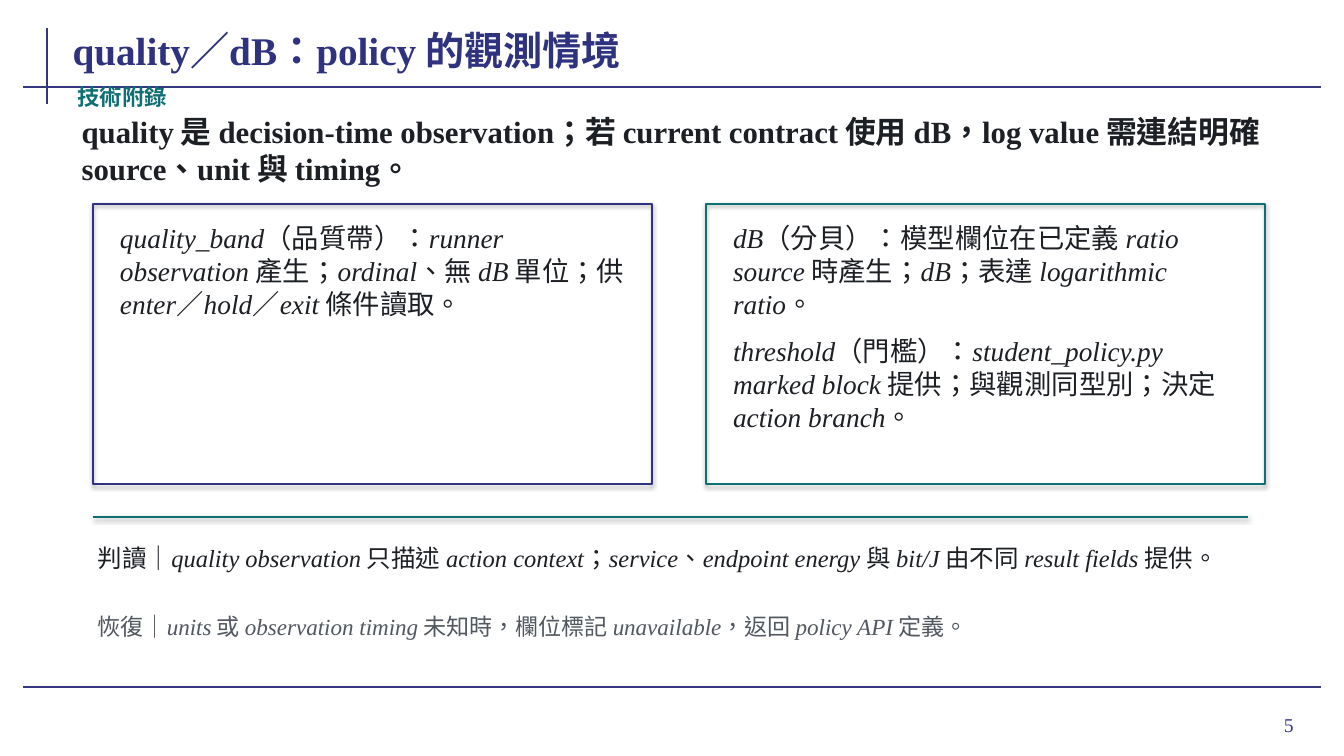
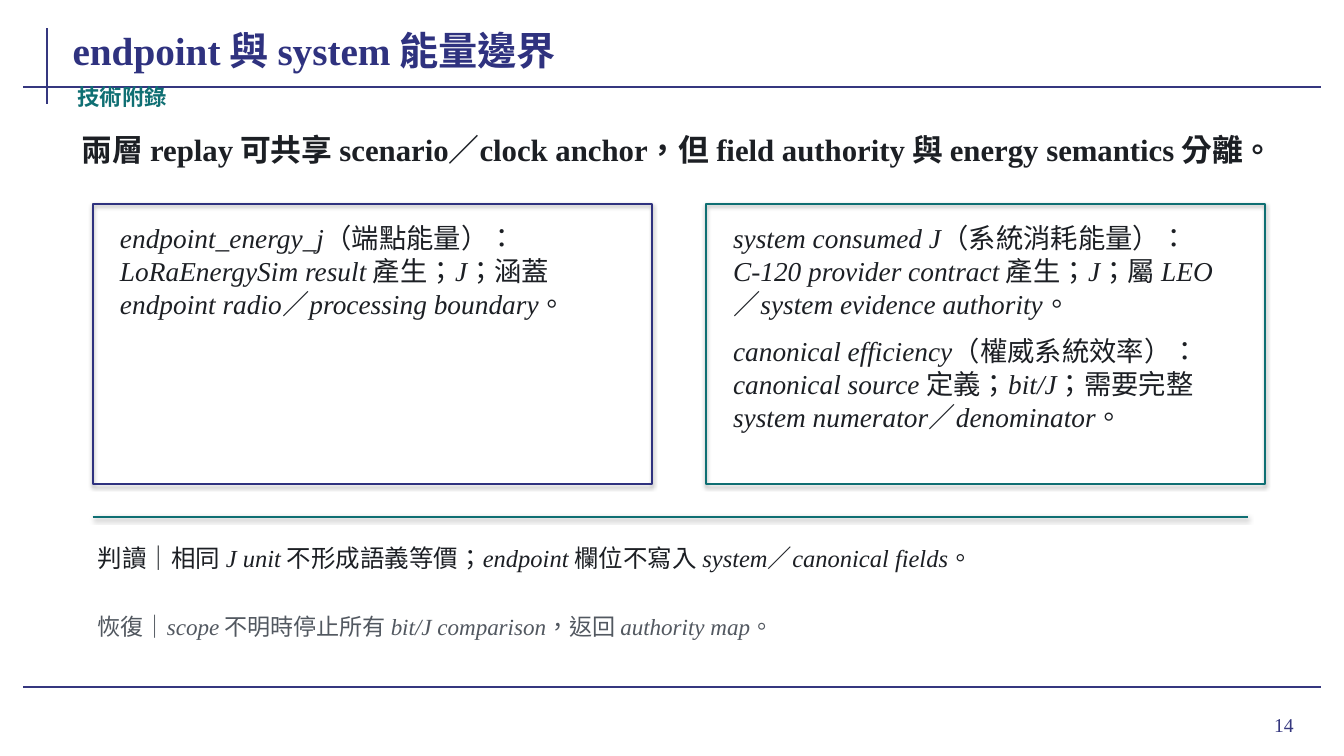
from dataclasses import dataclass
from itertools import groupby

from lxml import etree
from pptx import Presentation
from pptx import util as u
from pptx.dml.color import RGBColor
from pptx.enum import lang, shapes, text
from pptx.oxml import ns


@dataclass(frozen=True)
class Theme:
    frame: str = "35377F"
    navy: str = "2F327F"
    teal: str = "0F6F73"
    ink: str = "1C1F24"
    muted: str = "525860"
    shadow: str = "000000"
    latin_font: str = "Times New Roman"
    chinese_font: str = "Noto Sans CJK SC"
    title_size: float = 28
    lead_size: float = 22
    card_size: float = 19.5
    reading_size: float = 17.5
    recovery_size: float = 16.5
    label_size: float = 16
    page_size: float = 14
    rule_width: float = 1.5
    divider_width: float = 1.6


MARGIN = 0.92
CARD_TOP, CARD_WIDTH, CARD_HEIGHT = 2.02, 5.55, 2.78
CARD_PITCH = 6.08
CARD_PADDING = 0.22
ENTRY_TOP, ENTRY_HEIGHT, ENTRY_PITCH = 2.22, 0.93, 1.12
REMARK_WIDTH = 11.46

SLIDES = [
    {
        "page": "5",
        "title": "quality／dB：policy 的觀測情境",
        "lead": "quality 是 decision-time observation；若 current contract 使用 dB，"
                "log value 需連結明確 source、unit 與 timing。",
        "cards": [
            ["quality_band（品質帶）：runner observation 產生；ordinal、無 dB 單位；"
             "供 enter／hold／exit 條件讀取。"],
            ["dB（分貝）：模型欄位在已定義 ratio source 時產生；dB；表達 logarithmic ratio。",
             "threshold（門檻）：student_policy.py marked block 提供；與觀測同型別；"
             "決定 action branch。"],
        ],
        "reading": "判讀｜quality observation 只描述 action context；service、endpoint energy "
                   "與 bit/J 由不同 result fields 提供。",
        "recovery": "恢復｜units 或 observation timing 未知時，欄位標記 unavailable，"
                    "返回 policy API 定義。",
    },
    {
        "page": "14",
        "title": "endpoint 與 system 能量邊界",
        "lead": "兩層 replay 可共享 scenario／clock anchor，但 field authority 與 "
                "energy semantics 分離。",
        "cards": [
            ["endpoint_energy_j（端點能量）：LoRaEnergySim result 產生；J；"
             "涵蓋 endpoint radio／processing boundary。"],
            ["system consumed J（系統消耗能量）：C-120 provider contract 產生；J；"
             "屬 LEO／system evidence authority。",
             "canonical efficiency（權威系統效率）：canonical source 定義；bit/J；"
             "需要完整 system numerator／denominator。"],
        ],
        "reading": "判讀｜相同 J unit 不形成語義等價；endpoint 欄位不寫入 "
                   "system／canonical fields。",
        "recovery": "恢復｜scope 不明時停止所有 bit/J comparison，返回 authority map。",
    },
]


def split_scripts(content):
    """Return (is_latin, words) pairs; spaces between scripts go to the Chinese side."""
    pieces = []
    for ascii_only, group in groupby(content, key=str.isascii):
        words = "".join(group)
        core = words.strip() if ascii_only else words
        start = words.index(core)
        pieces += [(False, words[:start]), (ascii_only, core),
                   (False, words[start + len(core):])]
    filled = [piece for piece in pieces if piece[1]]
    return [(is_latin, "".join(words for _, words in group))
            for is_latin, group in groupby(filled, key=lambda piece: piece[0])]


class Deck:
    def __init__(self, theme):
        self.theme = theme
        self.presentation = Presentation()
        self.presentation.slide_width = u.Inches(13.33)
        self.presentation.slide_height = u.Inches(7.5)
        self.slide = None

    def new_slide(self, page):
        """Start a slide with the frame rules and its page number."""
        theme = self.theme
        self.slide = self.presentation.slides.add_slide(self.presentation.slide_layouts[6])
        for ends in ((0.47, 0.28, 0.47, 1.03), (0.23, 0.86, 13.1, 0.86),
                     (0.23, 6.82, 13.1, 6.82)):
            self.rule(ends, theme.frame, theme.rule_width)
        self.text(page, (11.96, 6.93, 0.97, 0.52), theme.page_size, theme.frame,
                  align=text.PP_ALIGN.RIGHT, inset=0.1, grow=False)

    def rule(self, ends, color, width, shadow=None):
        connector = self.slide.shapes.add_connector(
            shapes.MSO_CONNECTOR.STRAIGHT, *(u.Inches(value) for value in ends))
        self.outline(connector, color, width)
        effects = etree.SubElement(connector._element.spPr, ns.qn("a:effectLst"))
        if shadow:
            self.drop_shadow(effects, *shadow)

    def card(self, box, color):
        shape = self.slide.shapes.add_shape(
            shapes.MSO_SHAPE.RECTANGLE, *(u.Inches(value) for value in box))
        shape.fill.background()
        self.outline(shape, color, self.theme.rule_width)
        shape.shadow.inherit = False
        self.drop_shadow(shape._element.spPr.find(ns.qn("a:effectLst")), 35, 1.8)

    def outline(self, shape, color, width):
        shape.line.color.rgb = RGBColor.from_string(color)
        shape.line.width = u.Pt(width)

    def drop_shadow(self, effects, opacity, distance):
        shadow = etree.SubElement(
            effects, ns.qn("a:outerShdw"), blurRad=str(u.Pt(3.1)), dist=str(u.Pt(distance)),
            dir="5400000", rotWithShape="0")
        color = etree.SubElement(shadow, ns.qn("a:srgbClr"), val=self.theme.shadow)
        etree.SubElement(color, ns.qn("a:alpha"), val=str(opacity * 1000))

    def text(self, content, box, size, color, bold=False, italic_latin=False,
             anchor=text.MSO_ANCHOR.MIDDLE, align=text.PP_ALIGN.LEFT, inset=0.05, grow=True):
        shape = self.slide.shapes.add_textbox(*(u.Inches(value) for value in box))
        frame = shape.text_frame
        frame.word_wrap = True
        frame.auto_size = (text.MSO_AUTO_SIZE.SHAPE_TO_FIT_TEXT if grow
                           else text.MSO_AUTO_SIZE.NONE)
        frame.vertical_anchor = anchor
        frame.margin_left = frame.margin_right = u.Inches(inset)
        frame.margin_top = frame.margin_bottom = u.Inches(min(inset, 0.05))
        paragraph = frame.paragraphs[0]
        paragraph.alignment = align
        for is_latin, words in split_scripts(content):
            run = paragraph.add_run()
            run.text = words
            font = run.font
            font.size = u.Pt(size)
            font.bold = bold
            font.italic = italic_latin and is_latin
            font.color.rgb = RGBColor.from_string(color)
            font.language_id = lang.MSO_LANGUAGE_ID.TRADITIONAL_CHINESE
            font.name = self.theme.latin_font if is_latin else self.theme.chinese_font
            etree.SubElement(run._r.get_or_add_rPr(), ns.qn("a:ea"),
                             typeface=self.theme.chinese_font)

    def heading(self, title, lead):
        theme = self.theme
        self.text(title, (0.72, 0.2, 10.35, 0.53), theme.title_size, theme.navy, bold=True,
                  anchor=text.MSO_ANCHOR.BOTTOM, inset=0, grow=False)
        self.text("技術附錄", (0.72, 0.82, 1.55, 0.27), theme.label_size, theme.teal, bold=True)
        self.text(lead, (0.76, 1.12, 11.95, 0.72), theme.lead_size, theme.ink, bold=True)

    def cards(self, columns):
        theme = self.theme
        for column, (entries, color) in enumerate(zip(columns, (theme.navy, theme.teal))):
            left = MARGIN + column * CARD_PITCH
            self.card((left, CARD_TOP, CARD_WIDTH, CARD_HEIGHT), color)
            for row, entry in enumerate(entries):
                box = (left + CARD_PADDING, ENTRY_TOP + row * ENTRY_PITCH,
                       CARD_WIDTH - 2 * CARD_PADDING, ENTRY_HEIGHT)
                self.text(entry, box, theme.card_size, theme.ink, italic_latin=True)

    def remarks(self, reading, recovery):
        theme = self.theme
        self.rule((MARGIN, 5.13, MARGIN + REMARK_WIDTH, 5.13), theme.teal,
                  theme.divider_width, shadow=(38, 1.6))
        self.text(reading, (MARGIN, 5.18, REMARK_WIDTH, 0.7), theme.reading_size, theme.ink,
                  italic_latin=True)
        self.text(recovery, (MARGIN, 5.92, REMARK_WIDTH, 0.58), theme.recovery_size,
                  theme.muted, italic_latin=True)


def main():
    deck = Deck(Theme())
    for content in SLIDES:
        deck.new_slide(content["page"])
        deck.heading(content["title"], content["lead"])
        deck.cards(content["cards"])
        deck.remarks(content["reading"], content["recovery"])
    deck.presentation.save("out.pptx")


if __name__ == "__main__":
    main()
